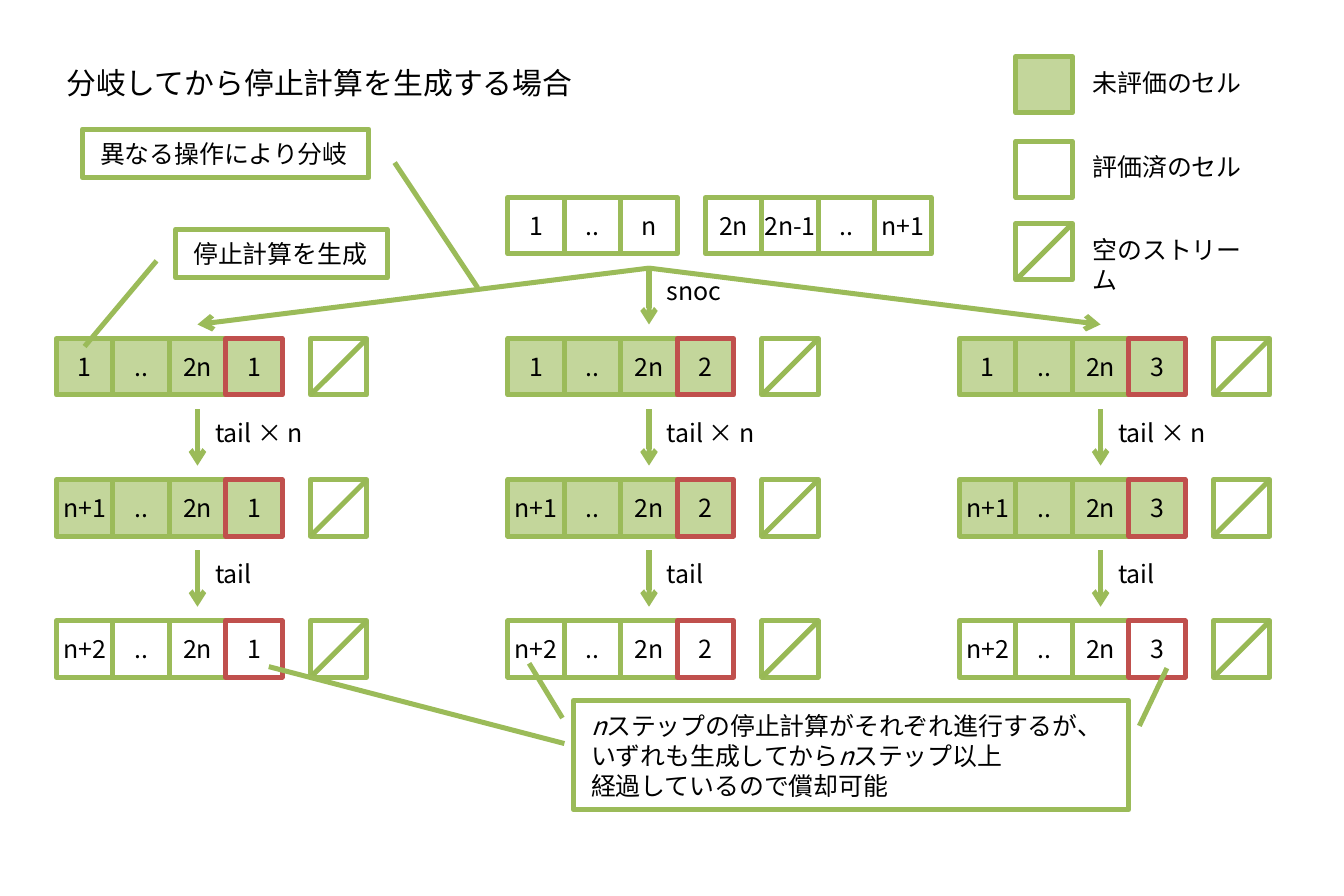
from pptx import Presentation
from pptx.dml.color import RGBColor
from pptx.enum.shapes import MSO_CONNECTOR, MSO_SHAPE
from pptx.enum.text import MSO_ANCHOR, MSO_AUTO_SIZE, PP_ALIGN
from pptx.oxml.ns import qn
from pptx.util import Cm, Pt
from lxml import etree

RECTANGLE = MSO_SHAPE.RECTANGLE
CALLOUT = MSO_SHAPE.LINE_CALLOUT_1
STRAIGHT = MSO_CONNECTOR.STRAIGHT
MIDDLE = MSO_ANCHOR.MIDDLE
GROW = MSO_AUTO_SIZE.SHAPE_TO_FIT_TEXT
CENTER = PP_ALIGN.CENTER
LEFT = PP_ALIGN.LEFT

FONT = "Noto Sans CJK JP"
COLORS = {
    "evaluated": "FFFFFF",
    "pending": "C3D69B",
    "outline": "9BBB59",
    "diagonal": "98B955",
    "added": "C0504D",
    "text": "000000",
}
CELL = 0.8
COLUMNS = [0.8, 7.2, 13.6]
ROWS = [4.8, 6.8, 8.8]
CENTERS = [column + 2.5 * CELL for column in COLUMNS]


def color(name):
    return RGBColor.from_string(COLORS[name])


def format_span(span, size, italic=False):
    span.font.name = FONT
    span.font.size = Pt(size)
    span.font.italic = italic
    span.font.color.rgb = color("text")
    east_asian = etree.SubElement(span.font._element, qn("a:ea"))
    east_asian.set("typeface", FONT)


def write(shape, lines, size=10, align=LEFT):
    frame = shape.text_frame
    frame.word_wrap = False
    for index, line in enumerate(lines):
        para = frame.add_paragraph() if index else frame.paragraphs[0]
        para.alignment = align
        for part in line:
            span = para.add_run()
            span.text = part.strip("*")
            format_span(span, size, part.startswith("*"))


def add_box(shapes, kind, left, top, width, height, fill="evaluated", outline="outline"):
    box = shapes.add_shape(kind, Cm(left), Cm(top), Cm(width), Cm(height))
    box.shadow.inherit = False
    box.fill.solid()
    box.fill.fore_color.rgb = color(fill)
    box.line.color.rgb = color(outline)
    box.line.width = Pt(2)
    return box


def add_cell(shapes, left, top, text="", fill="evaluated", outline="outline"):
    cell = add_box(shapes, RECTANGLE, left, top, CELL, CELL, fill, outline)
    if text:
        cell.text_frame.vertical_anchor = MIDDLE
        write(cell, [[text]], align=CENTER)


def add_cells(shapes, left, top, texts, fill="evaluated"):
    for index, text in enumerate(texts):
        add_cell(shapes, left + index * CELL, top, text, fill)


def add_line(shapes, start, end, outline="outline", arrow=False):
    line = shapes.add_connector(STRAIGHT, Cm(start[0]), Cm(start[1]), Cm(end[0]), Cm(end[1]))
    line.line.color.rgb = color(outline)
    line.line.width = Pt(2)
    if arrow:
        etree.SubElement(line.line._get_or_add_ln(), qn("a:tailEnd")).set("type", "arrow")
    etree.SubElement(line._element.spPr, qn("a:effectLst"))


def add_empty_stream(shapes, left, top):
    group = shapes.add_group_shape()
    add_cell(group.shapes, left, top)
    add_line(group.shapes, (left, top + CELL), (left + CELL, top), "diagonal")


def add_label(shapes, left, top, width, height, text, size=10, grow=True):
    label = shapes.add_textbox(Cm(left), Cm(top), Cm(width), Cm(height))
    write(label, [[text]], size)
    if grow:
        label.text_frame.auto_size = GROW


def add_callout(shapes, left, top, width, height, pointer, lines):
    callout = add_box(shapes, CALLOUT, left, top, width, height)
    for index, value in enumerate(pointer):
        callout.adjustments[index] = value
    callout.text_frame.vertical_anchor = MIDDLE
    write(callout, lines)
    callout.text_frame.auto_size = GROW


def add_branch(shapes, number, left, center):
    states = [("1", "pending"), ("n+1", "pending"), ("n+2", "evaluated")]
    for top, (first, fill) in zip(ROWS, states):
        add_cells(shapes, left, top, [first, "..", "2n"], fill)
        add_cell(shapes, left + 3 * CELL, top, str(number), fill, "added")
        add_empty_stream(shapes, left + 4.5 * CELL, top)
    add_line(shapes, (CENTERS[1], 3.8), (center, 4.6), arrow=True)
    for top, text, width in [(5.8, "tail × n", 2.5), (7.8, "tail", 1.45)]:
        add_line(shapes, (center, top), (center, top + CELL), arrow=True)
        add_label(shapes, center, top, width, 0.69, text)


def add_legend(shapes):
    left = 14.4
    add_cell(shapes, left, 0.8, fill="pending")
    add_cell(shapes, left, 2)
    add_empty_stream(shapes, left, 3.17)
    for top, text in [(0.83, "未評価のセル"), (2.03, "評価済のセル"), (3.2, "空のストリーム")]:
        add_label(shapes, 15.24, top, 2.87, 0.74, text, grow=False)


def add_callouts(shapes):
    add_callout(shapes, 2.49, 3.25, 3, 0.69, [0.65, -0.09, 2.41, -0.43], [["停止計算を生成"]])
    add_callout(shapes, 8.13, 9.93, 7.87, 1.55, [0.16, -0.02, -0.34, -0.08], [
        ["*n*", "ステップの停止計算がそれぞれ進行するが、"],
        ["いずれも生成してから", "*n*", "ステップ以上"],
        ["経過しているので償却可能"],
    ])
    add_callout(shapes, 1.17, 1.83, 4.06, 0.69, [0.69, 1.09, 3.26, 1.38], [["異なる操作により分岐"]])
    add_line(shapes, (16.54, 9.47), (16.15, 10.29))
    add_line(shapes, (3.81, 9.45), (8, 10.54))


def main():
    deck = Presentation()
    deck.slide_width = Cm(19.05)
    deck.slide_height = Cm(12.7)
    page = deck.slides.add_slide(deck.slide_layouts[6])
    shapes = page.shapes

    add_label(shapes, 0.69, 0.79, 7.77, 0.76, "分岐してから停止計算を生成する場合", 12)
    add_cells(shapes, 7.2, 2.8, ["1", "..", "n"])
    add_cells(shapes, 10, 2.8, ["2n", "2n-1", "..", "n+1"])
    for number, (left, center) in enumerate(zip(COLUMNS, CENTERS), 1):
        add_branch(shapes, number, left, center)
    add_label(shapes, CENTERS[1], 3.78, 1.45, 0.69, "snoc")
    add_callouts(shapes)
    add_legend(shapes)

    deck.save("out.pptx")


if __name__ == "__main__":
    main()
